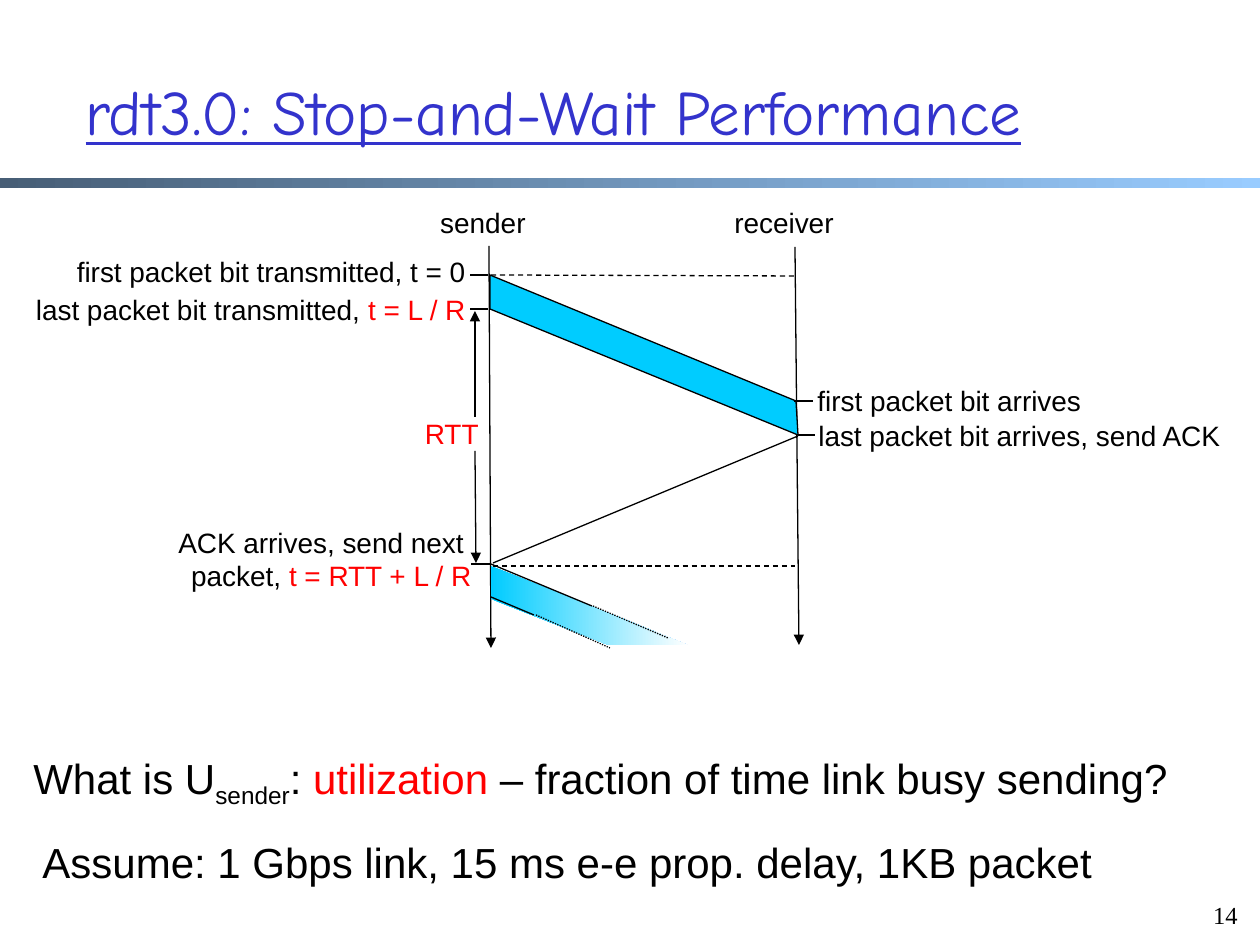
from dataclasses import dataclass
from typing import NamedTuple, Optional

from lxml import etree
from pptx import Presentation
from pptx.dml.color import RGBColor
from pptx.enum.dml import MSO_LINE
from pptx.enum.shapes import MSO_CONNECTOR, MSO_SHAPE
from pptx.enum.text import MSO_ANCHOR, PP_ALIGN
from pptx.oxml.ns import qn
from pptx.util import Emu, Pt

SCALE = 914400 / 126  # EMU per pixel


@dataclass(frozen=True)
class Theme:
    """Colours, fonts and type sizes of the slide."""
    ink: str = "000000"
    paper: str = "FFFFFF"
    accent: str = "FF0000"
    title: str = "3333CC"
    packet: str = "00CCFF"
    bar_start: str = "475E76"
    bar_end: str = "99CCFF"
    body_font: str = "Arial"
    title_font: str = "Comic Neue"
    number_font: str = "Times New Roman"
    title_size: int = 36
    body_size: int = 24
    label_size: int = 16
    number_size: int = 14
    line_width: float = 0.75


THEME = Theme()


class Run(NamedTuple):
    """A piece of text in one colour, possibly a subscript."""
    text: str
    color: str = THEME.ink
    subscript: bool = False


class Label(NamedTuple):
    """A text box: its place in pixels and its paragraphs of runs."""
    box: tuple[int, int, int, int]
    paragraphs: list[list[Run]]
    align: PP_ALIGN = PP_ALIGN.RIGHT
    size: int = THEME.label_size
    font: str = THEME.body_font
    wrap: bool = True
    anchor: MSO_ANCHOR = MSO_ANCHOR.TOP


class Line(NamedTuple):
    """A straight line between two points in pixels."""
    start: tuple[int, int]
    end: tuple[int, int]
    arrow: bool = False
    dash: Optional[MSO_LINE] = None


LEFT = PP_ALIGN.LEFT
DASH, DOT = MSO_LINE.DASH, MSO_LINE.ROUND_DOT

LABELS = [
    Label((416, 199, 122, 48), [[Run("sender")]]),
    Label((716, 199, 130, 48), [[Run("receiver")]]),
    Label((33, 248, 445, 49), [[Run("first packet bit transmitted, t = 0")]]),
    Label((0, 286, 478, 49), [[Run("last packet bit transmitted, "),
                               Run("t = L / R", THEME.accent)]]),
    Label((379, 410, 112, 47), [[Run("RTT", THEME.accent)]]),
    Label((805, 377, 334, 49), [[Run("first packet bit arrives")]], LEFT),
    Label((806, 412, 430, 78), [[Run("last packet bit arrives, send ACK")]], LEFT),
    Label((113, 519, 371, 87), [[Run("ACK arrives, send next ")],
                                [Run("packet, "),
                                 Run("t = RTT + L / R", THEME.accent)]]),
    Label((21, 746, 1172, 63), [[Run("What is U"), Run("sender", subscript=True),
                                 Run(": "), Run("utilization", THEME.accent),
                                 Run(" – fraction of time link busy sending?")]],
          LEFT, THEME.body_size, wrap=False),
    Label((30, 830, 1104, 63),
          [[Run("Assume: 1 Gbps link, 15 ms e-e prop. delay, 1KB packet")]],
          LEFT, THEME.body_size),
    Label((1192, 888, 58, 48), [[Run("14")]], size=THEME.number_size,
          font=THEME.number_font, anchor=MSO_ANCHOR.BOTTOM),
]

FIRST_PACKET = [(490, 275), (796, 401), (798, 435), (490, 309)]
NEXT_PACKET = [(491, 566), (688, 645), (609, 645), (491, 599)]

TIME_AXES = [Line((489, 246), (491, 648), arrow=True),
             Line((795, 247), (799, 645), arrow=True)]
GUIDES = [Line((491, 275), (794, 276), dash=DASH),
          Line((493, 566), (795, 566), dash=DASH)]
ACK_LINE = [Line((493, 563), (798, 436))]
TICKS = [Line((488, 275), (470, 275)), Line((488, 309), (470, 309)),
         Line((490, 564), (471, 564)), Line((813, 401), (794, 401)),
         Line((798, 435), (815, 435))]
RTT_ARROWS = [Line((475, 451), (476, 563), arrow=True),
              Line((475, 417), (475, 311), arrow=True)]
NEXT_PACKET_EDGES = [Line((491, 564), (592, 606)),
                     Line((593, 606), (668, 638), dash=DOT),
                     Line((491, 597), (534, 615)),
                     Line((536, 615), (610, 648), dash=DOT)]


def px(*lengths: int) -> list[Emu]:
    """Turn pixels into EMU."""
    return [Emu(round(length * SCALE)) for length in lengths]


def style_font(font, size: int, name: str, color: str) -> None:
    """Set size, typeface and colour."""
    font.size, font.name = Pt(size), name
    font.color.rgb = RGBColor.from_string(color)


def fill_gradient(shape, start: str, end: str) -> None:
    """Fill a shape from left to right and remove its outline."""
    shape.fill.gradient()
    shape.fill.gradient_angle = 0
    for stop, color in zip(shape.fill.gradient_stops, (start, end)):
        stop.color.rgb = RGBColor.from_string(color)
    shape.line.fill.background()


def add_title(slide, text: str) -> None:
    """Place and format the title placeholder."""
    title = slide.shapes.title
    title.left, title.top, title.width, title.height = px(73, 32, 1123, 157)
    frame = title.text_frame
    frame.text = text
    frame.vertical_anchor = MSO_ANCHOR.MIDDLE
    paragraph = frame.paragraphs[0]
    paragraph.alignment = LEFT
    font = paragraph.runs[0].font
    style_font(font, THEME.title_size, THEME.title_font, THEME.title)
    font.underline = True


def add_bar(slide) -> None:
    """Draw the bar under the title."""
    bar = slide.shapes.add_shape(MSO_SHAPE.RECTANGLE, *px(0, 178, 1260, 10))
    bar.shadow.inherit = False
    fill_gradient(bar, THEME.bar_start, THEME.bar_end)


def add_label(slide, label: Label) -> None:
    """Draw one text box."""
    frame = slide.shapes.add_textbox(*px(*label.box)).text_frame
    frame.word_wrap = label.wrap
    frame.vertical_anchor = label.anchor
    for index, runs in enumerate(label.paragraphs):
        paragraph = frame.add_paragraph() if index else frame.paragraphs[0]
        paragraph.alignment = label.align
        for piece in runs:
            run = paragraph.add_run()
            run.text = piece.text
            style_font(run.font, label.size, label.font, piece.color)
            if piece.subscript:
                run.font._element.set("baseline", "-25000")


def add_packet(slide, points: list[tuple[int, int]], fading: bool) -> None:
    """Draw a packet band, either outlined or fading out."""
    builder = slide.shapes.build_freeform(*points[0], scale=SCALE)
    builder.add_line_segments(points[1:], close=True)
    band = builder.convert_to_shape()
    band.shadow.inherit = False
    if fading:
        fill_gradient(band, THEME.packet, THEME.paper)
        return
    band.fill.solid()
    band.fill.fore_color.rgb = RGBColor.from_string(THEME.packet)
    band.line.color.rgb = RGBColor.from_string(THEME.ink)
    band.line.width = Pt(THEME.line_width)


def add_line(slide, line: Line) -> None:
    """Draw one line with its dash and arrowhead."""
    connector = slide.shapes.add_connector(
        MSO_CONNECTOR.STRAIGHT, *px(*line.start, *line.end))
    connector.line.color.rgb = RGBColor.from_string(THEME.ink)
    connector.line.width = Pt(THEME.line_width)
    if line.dash is not None:
        connector.line.dash_style = line.dash
    if line.arrow:
        etree.SubElement(connector.line._get_or_add_ln(), qn("a:tailEnd"), type="triangle")
    etree.SubElement(connector._element.spPr, qn("a:effectLst"))


def main() -> None:
    """Build and save the slide."""
    deck = Presentation()
    deck.slide_width, deck.slide_height = px(1260, 945)
    slide = deck.slides.add_slide(deck.slide_layouts[5])
    add_bar(slide)
    add_title(slide, "rdt3.0: Stop-and-Wait Performance")
    for label in LABELS:
        add_label(slide, label)
    for line in TIME_AXES + GUIDES + ACK_LINE:
        add_line(slide, line)
    add_packet(slide, FIRST_PACKET, fading=False)
    add_packet(slide, NEXT_PACKET, fading=True)
    for line in TICKS + RTT_ARROWS + NEXT_PACKET_EDGES:
        add_line(slide, line)
    deck.save("out.pptx")


main()
